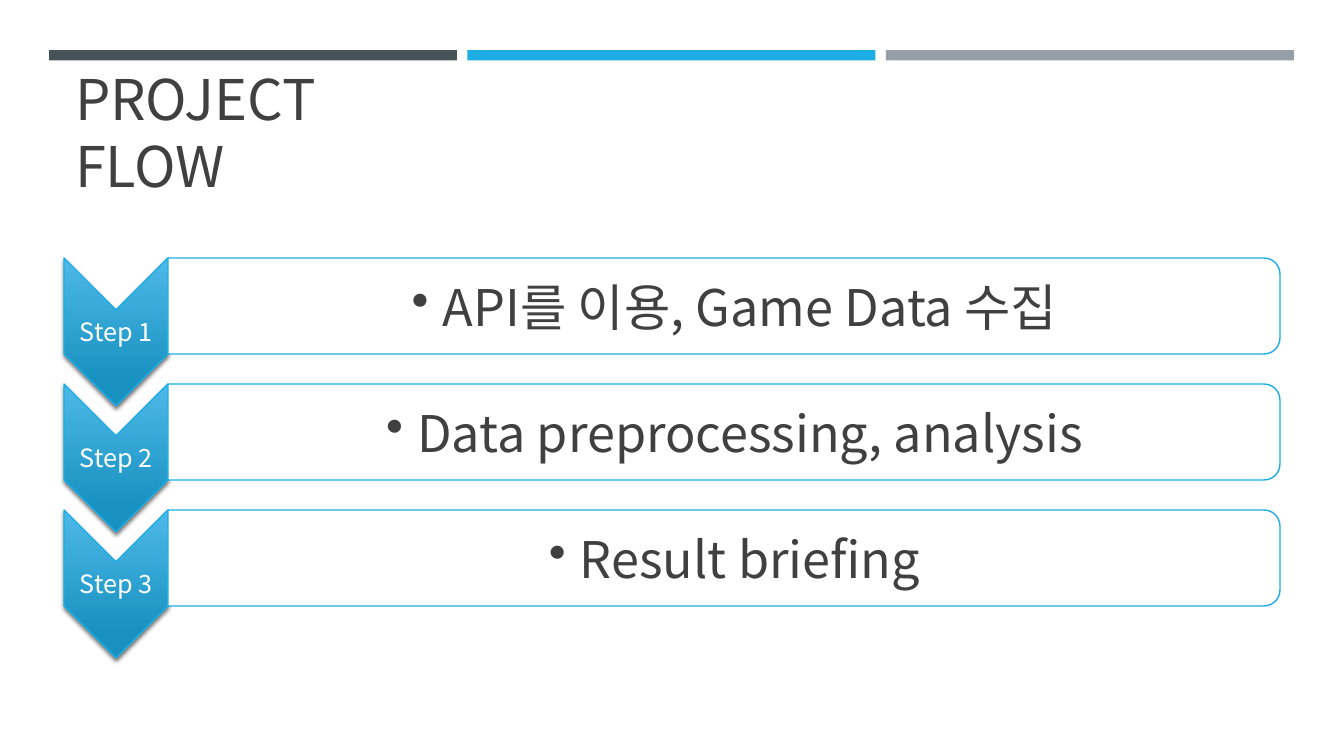
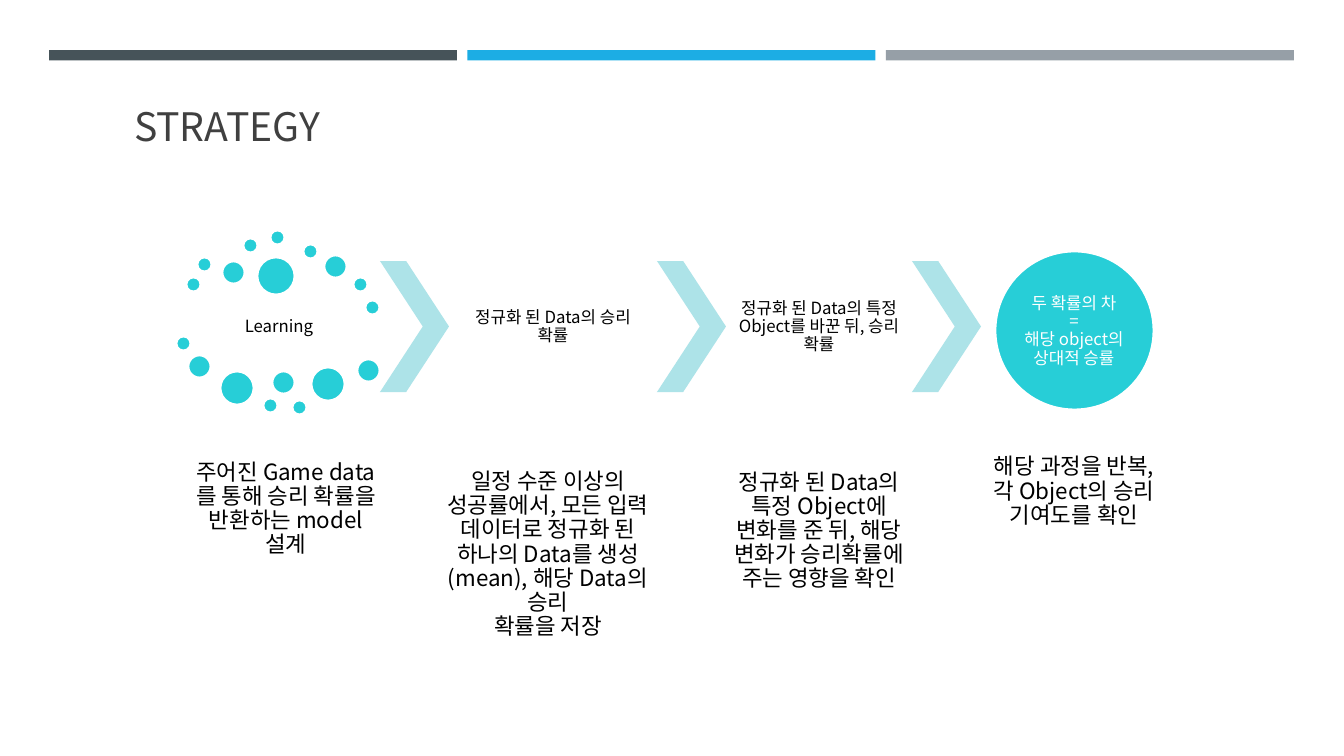
from lxml.etree import SubElement
from pptx import Presentation
from pptx.dml.color import RGBColor
from pptx.enum.shapes import MSO_SHAPE
from pptx.enum.text import MSO_ANCHOR, MSO_AUTO_SIZE, PP_ALIGN
from pptx.oxml.ns import qn
from pptx.util import Emu, Pt

SCALE = 914400 / 100.8
FONT = "Noto Sans CJK KR"
WHITE = RGBColor(255, 255, 255)
BLACK = RGBColor(0, 0, 0)
INK = RGBColor(0x40, 0x40, 0x40)
SLATE = RGBColor(0x46, 0x53, 0x59)
BLUE = RGBColor(0x1C, 0xAD, 0xE4)
GREY = RGBColor(0x96, 0x9F, 0xA7)
LIGHT = RGBColor(0x4D, 0xB9, 0xE8)
DEEP = RGBColor(0x18, 0x91, 0xC0)
TEAL = RGBColor(0x27, 0xCE, 0xD7)
PALE = RGBColor(0xAD, 0xE3, 0xE8)

STEPS = ["API를 이용, Game Data 수집", "Data preprocessing, analysis", "Result briefing"]
PITCH = 126
# Left and top of each dot, by diameter
DOTS = {
    15: [(186, 277), (197, 257), (243, 238), (270, 230), (303, 244),
         (353, 277), (365, 300), (176, 336), (263, 398), (292, 400)],
    23: [(222, 261), (324, 255), (188, 355), (272, 371), (357, 359)],
    34: [(220, 371), (311, 367)],
    38: [(257, 257)],
}
HEADS = [
    ("Learning", (186, 296, 186, 61), BLACK),
    ("정규화 된 Data의 승리 확률", (460, 261, 186, 131), BLACK),
    ("정규화 된 Data의 특정 Object를 바꾼 뒤, 승리 확률", (726, 261, 186, 131), BLACK),
    ("두 확률의 차\v=\v해당 object의\v상대적 승률", (1018, 275, 112, 112), WHITE),
]
NOTES = [
    ("주어진 Game data를 통해 승리 확률을 반환하는 model 설계", (193, 398, 186, 222)),
    ("일정 수준 이상의 성공률에서, 모든 입력 데이터로 정규화 된 하나의 Data를 "
     "생성(mean), 해당 Data의 승리\v확률을 저장", (444, 410, 208, 289)),
    ("정규화 된 Data의 특정 Object에 변화를 준 뒤, 해당 변화가 승리확률에 "
     "주는 영향을 확인", (726, 374, 186, 314)),
    ("해당 과정을 반복, 각 Object의 승리 기여도를 확인", (981, 434, 186, 115)),
]


def px(num):
    """Turn pixels into EMU."""
    return Emu(round(num * SCALE))


def apply(item, **vals):
    """Set each given attribute on an item."""
    for key, val in vals.items():
        setattr(item, key, val)


def write(box, text, size, color, lead=1.08, align=PP_ALIGN.CENTER,
          anchor=MSO_ANCHOR.MIDDLE, pad=(2, 2, 2, 2)):
    """Fill a box with one styled paragraph and return the paragraph."""
    left, top, right, low = map(px, pad)
    frame = box.text_frame
    frame.text = text
    apply(frame, word_wrap=True, auto_size=MSO_AUTO_SIZE.NONE,
          vertical_anchor=anchor, margin_left=left, margin_top=top,
          margin_right=right, margin_bottom=low)
    para = frame.paragraphs[0]
    apply(para, alignment=align, line_spacing=Pt(round(size * lead, 1)))
    for run in para.runs:
        apply(run.font, size=Pt(size), name=FONT)
        run.font.color.rgb = color
        SubElement(run.font._element, qn("a:ea"), typeface=FONT)
    return para


def label(slide, text, box, size, color, **style):
    """Add a text box and return its paragraph."""
    return write(slide.shapes.add_textbox(*map(px, box)), text, size, color, **style)


def shape(slide, kind, box, fill=None, line=None, width=1, turn=0):
    """Add a preset shape; a quarter turn keeps the visible box."""
    left, top, wide, high = box
    if turn:
        shift = (wide - high) / 2
        left, top, wide, high = left + shift, top - shift, high, wide
    item = slide.shapes.add_shape(kind, *map(px, (left, top, wide, high)))
    apply(item, rotation=turn)
    item.shadow.inherit = False
    if fill is not None:
        item.fill.solid()
        item.fill.fore_color.rgb = fill
    if line is None:
        item.line.fill.background()
    else:
        item.line.color.rgb = line
        item.line.width = Pt(width)
    return item


def start(deck, title, box, size):
    """Add a slide with its title."""
    slide = deck.slides.add_slide(deck.slide_layouts[5])
    head = slide.shapes.title
    left, top, wide, high = map(px, box)
    apply(head, left=left, top=top, width=wide, height=high)
    write(head, title, size, INK, lead=1.2, align=PP_ALIGN.LEFT,
          anchor=MSO_ANCHOR.BOTTOM, pad=(10, 5, 10, 0))
    return slide


def bands(slide):
    """Put the three top bands on the layout that all slides share."""
    for num, color in enumerate((SLATE, BLUE, GREY)):
        band = shape(slide, MSO_SHAPE.RECTANGLE, (49 + 418.5 * num, 50, 408, 10.5), color)
        slide.slide_layout.shapes.element.append(band.element)


def arrow(slide, box):
    """Add a downward chevron with a gradient and a soft shadow."""
    item = shape(slide, MSO_SHAPE.CHEVRON, box, line=BLUE, turn=90)
    item.fill.gradient()
    item.fill.gradient_angle = 270
    for stop, color, place in zip(item.fill.gradient_stops, (LIGHT, DEEP), (0, 0.84)):
        stop.color.rgb = color
        stop.position = place
    props = item.element.spPr
    props.find(qn("a:gradFill")).set("rotWithShape", "0")
    shade = SubElement(props.find(qn("a:effectLst")), qn("a:outerShdw"), blurRad="38100",
                       dist="25400", dir="5400000", rotWithShape="0")
    tint = SubElement(shade, qn("a:srgbClr"), val=str(BLACK))
    SubElement(tint, qn("a:alpha"), val="55000")


def bullet(para, indent):
    """Give a paragraph a hanging bullet."""
    props = para._element.get_or_add_pPr()
    props.set("marL", str(px(indent)))
    props.set("indent", str(-px(indent)))
    SubElement(props, qn("a:buChar"), char="•")


def flow(deck):
    """Build the slide of project steps."""
    slide = start(deck, "PROJECT FLOW", (65, 119, 416, 80), 40)
    bands(slide)
    for num, text in enumerate(STEPS):
        top = 258 + PITCH * num
        arrow(slide, (64, top, 104, 148))
        label(slide, f"Step {num + 1}", (64, top + 53, 104, 44), 18, WHITE)
        shape(slide, MSO_SHAPE.ROUND_2_SAME_RECTANGLE, (168, top, 1112, 96),
              WHITE, BLUE, turn=90)
        para = label(slide, text, (168, top + 8, 1108, 86), 36, INK, pad=(28, 3, 3, 3))
        bullet(para, 31)


def plan(deck):
    """Build the slide of the strategy chain."""
    slide = start(deck, "STRATEGY", (124, 87, 216, 62), 28)
    for size, spots in DOTS.items():
        for left, top in spots:
            shape(slide, MSO_SHAPE.OVAL, (left, top, size, size), TEAL, WHITE, 2)
    for left in (380, 657, 912):
        mark = shape(slide, MSO_SHAPE.CHEVRON, (left, 261, 69, 131), PALE)
        mark.adjustments[0] = 0.62
    shape(slide, MSO_SHAPE.OVAL, (995, 251, 159, 159), TEAL, WHITE, 2)
    for text, box, color in HEADS:
        label(slide, text, box, 12, color)
    for text, box in NOTES:
        label(slide, text, box, 16, BLACK)


def main():
    """Build and save the deck."""
    deck = Presentation()
    apply(deck, slide_width=px(1344), slide_height=px(756))
    flow(deck)
    plan(deck)
    deck.save("out.pptx")


main()
